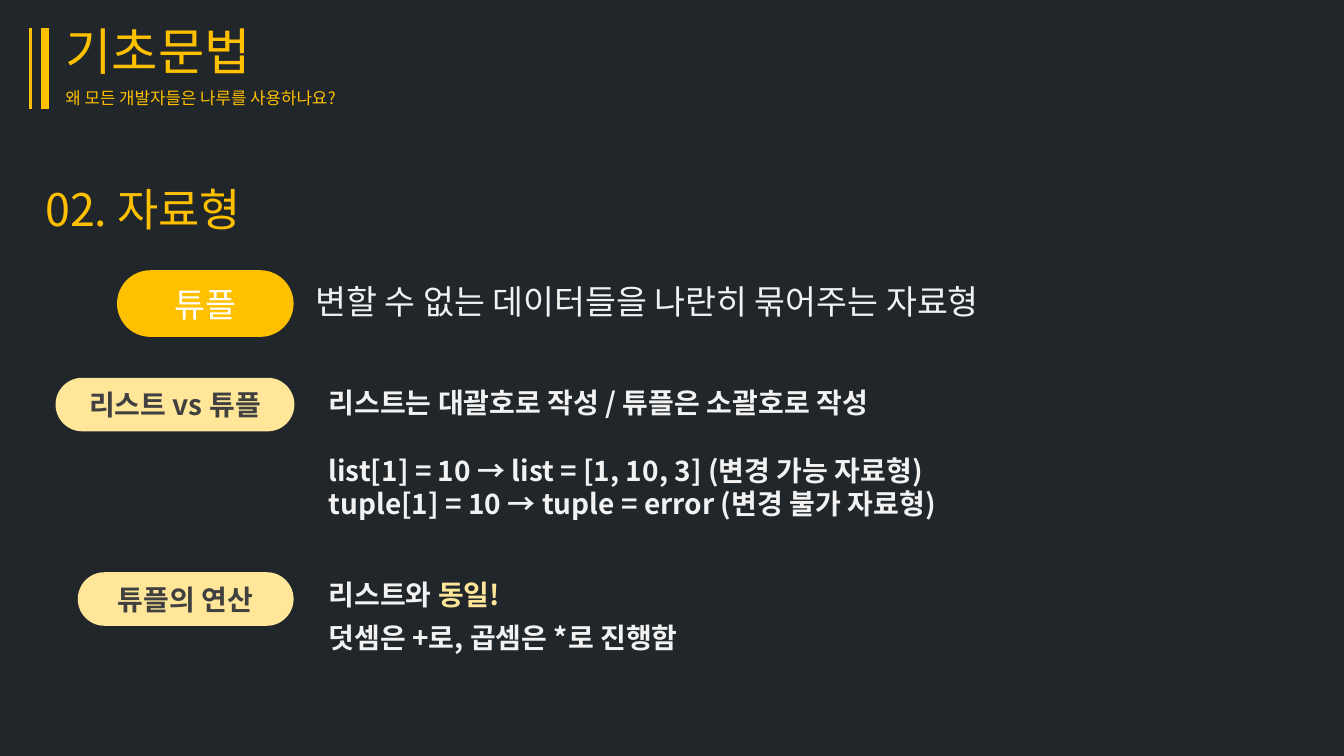
from lxml import etree
from pptx import Presentation
from pptx.dml.color import RGBColor
from pptx.enum.shapes import MSO_CONNECTOR, MSO_SHAPE
from pptx.enum.text import MSO_ANCHOR, MSO_AUTO_SIZE, PP_ALIGN
from pptx.oxml.ns import qn
from pptx.util import Cm, Pt

STRAIGHT = MSO_CONNECTOR.STRAIGHT
ROUNDED = MSO_SHAPE.ROUNDED_RECTANGLE
TOP, MIDDLE = MSO_ANCHOR.TOP, MSO_ANCHOR.MIDDLE
NO_AUTOFIT = MSO_AUTO_SIZE.NONE
LEFT, CENTER = PP_ALIGN.LEFT, PP_ALIGN.CENTER

FONT_NAME = "Noto Sans CJK KR"
BACKGROUND = RGBColor(0x21, 0x26, 0x2A)
YELLOW = RGBColor(0xFF, 0xC0, 0x00)
PALE_YELLOW = RGBColor(0xFF, 0xE6, 0x99)
WHITE = RGBColor(0xFF, 0xFF, 0xFF)
LIGHT_GRAY = RGBColor(0xF2, 0xF2, 0xF2)
DARK_GRAY = RGBColor(0x40, 0x40, 0x40)

TITLE_ONLY_LAYOUT = 5
DETAIL_LEFT, DETAIL_WIDTH = 8.03, 16.94


def format_paragraph(paragraph, size, color, bold=False, alignment=LEFT):
    """Set the font, for Latin and Korean text, and the alignment."""
    paragraph.alignment = alignment
    font = paragraph.font
    font.size, font.bold, font.name = Pt(size), bold, FONT_NAME
    font.color.rgb = color
    properties = paragraph._p.pPr.find(qn("a:defRPr"))
    etree.SubElement(properties, qn("a:ea"), typeface=FONT_NAME)


def place(shape, left, top, width, height):
    """Move and size a shape, in centimetres."""
    shape.left, shape.top = Cm(left), Cm(top)
    shape.width, shape.height = Cm(width), Cm(height)


def fill_text(shape, lines, size, color, bold=False):
    """Write top-anchored lines, each a list of (text, colour) runs or a string."""
    frame = shape.text_frame
    frame.word_wrap = True
    frame.auto_size = NO_AUTOFIT
    frame.vertical_anchor = TOP
    for index, line in enumerate(lines):
        paragraph = frame.paragraphs[0] if index == 0 else frame.add_paragraph()
        format_paragraph(paragraph, size, color, bold)
        for text, run_color in [(line, color)] if isinstance(line, str) else line:
            run = paragraph.add_run()
            run.text = text
            if run_color != color:
                run.font.color.rgb = run_color
    return frame


def add_text(slide, box, lines, size, color, bold=False):
    """Add a text box and return its text frame."""
    shape = slide.shapes.add_textbox(*map(Cm, box))
    return fill_text(shape, lines, size, color, bold)


def add_pill(slide, box, text, fill_color, size, color, bold=False):
    """Add a fully rounded label."""
    shape = slide.shapes.add_shape(ROUNDED, *map(Cm, box))
    shape.adjustments[0] = 0.5
    shape.shadow.inherit = False
    shape.fill.solid()
    shape.fill.fore_color.rgb = fill_color
    shape.line.fill.background()
    frame = shape.text_frame
    frame.vertical_anchor = MIDDLE
    paragraph = frame.paragraphs[0]
    paragraph.text = text
    format_paragraph(paragraph, size, color, bold, CENTER)


def add_title_bar(slide, left, width):
    """Add a vertical line beside the title."""
    line = slide.shapes.add_connector(STRAIGHT, Cm(left), Cm(0.71), Cm(left), Cm(2.74))
    line.line.color.rgb = YELLOW
    line.line.width = Pt(width)
    etree.SubElement(line._element.spPr, qn("a:effectLst"))


def add_header(slide):
    """Add the title, its subtitle and the bars."""
    title = slide.shapes.title
    place(title, 1.4, 0.38, 14.76, 1.75)
    paragraph = fill_text(title, ["기초문법"], 36, YELLOW).paragraphs[0]
    paragraph.line_spacing = 1.0
    paragraph.space_before = Pt(0)
    add_text(slide, (1.4, 2.08, 14.76, 0.8),
             ["왜 모든 개발자들은 나루를 사용하나요?"], 12, YELLOW)
    add_title_bar(slide, 0.76, 2.25)
    add_title_bar(slide, 1.14, 6)


def add_content(slide):
    """Add the section heading and the labelled explanations."""
    heading = add_text(slide, (1.14, 4.45, 18.57, 1.37), ["02. 자료형"], 32, YELLOW)
    heading.margin_left = 0
    add_pill(slide, (2.95, 6.81, 4.45, 1.68), "튜플", YELLOW, 24, WHITE)
    add_text(slide, (7.7, 6.96, 24.84, 1.27),
             ["변할 수 없는 데이터들을 나란히 묶어주는 자료형"], 24, LIGHT_GRAY)

    for left, top, width, label in [(1.4, 9.52, 6.02, "리스트 vs 튜플"),
                                    (1.96, 14.42, 5.44, "튜플의 연산")]:
        add_pill(slide, (left, top, width, 1.35), label, PALE_YELLOW, 20, DARK_GRAY, True)

    comparison = ["리스트는 대괄호로 작성 / 튜플은 소괄호로 작성"]
    examples = ["list[1] = 10 → list = [1, 10, 3] (변경 가능 자료형)",
                "tuple[1] = 10 → tuple = error (변경 불가 자료형)"]
    operations = [[("리스트와 ", LIGHT_GRAY), ("동일!", PALE_YELLOW)],
                  "덧셈은 +로, 곱셈은 *로 진행함"]
    for top, height, lines in [(9.6, 1.12, comparison), (11.3, 1.96, examples),
                               (14.42, 2.24, operations)]:
        frame = add_text(slide, (DETAIL_LEFT, top, DETAIL_WIDTH, height),
                         lines, 20, LIGHT_GRAY, True)
    frame.paragraphs[-1].line_spacing = 1.3


def main():
    """Build and save the slide."""
    presentation = Presentation()
    presentation.slide_width, presentation.slide_height = Cm(33.87), Cm(19.05)
    slide = presentation.slides.add_slide(presentation.slide_layouts[TITLE_ONLY_LAYOUT])
    slide.background.fill.solid()
    slide.background.fill.fore_color.rgb = BACKGROUND
    add_header(slide)
    add_content(slide)
    presentation.save("out.pptx")


if __name__ == "__main__":
    main()
